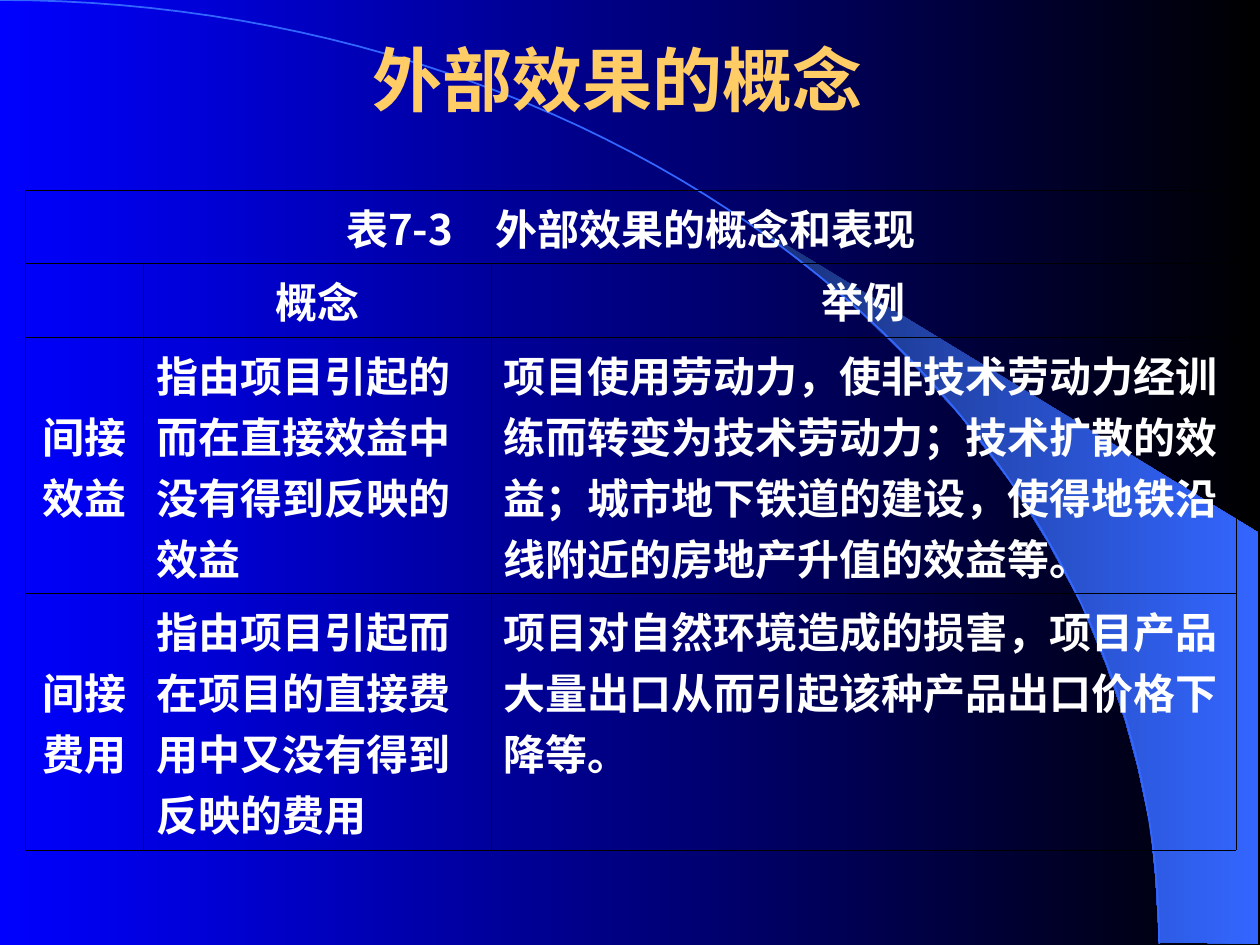
from math import cos, pi, sin

from lxml.etree import SubElement
from pptx import Presentation
from pptx.dml.color import RGBColor as RGB
from pptx.enum.text import MSO_ANCHOR as Anchor, PP_ALIGN as Align
from pptx.oxml.ns import qn
from pptx.util import Pt

PX = 9144  # 100 px to the inch
THEME = {
    "font": "Noto Sans CJK SC",
    "title_size": Pt(40),
    "table_size": Pt(24),
    "title": RGB.from_string("FFCC66"),
    "text": RGB.from_string("FFFFFF"),
    "border": "000000",
    "border_width": Pt(0.45),
    "accent": RGB.from_string("3366FF"),
    "accent_dark": RGB.from_string("182F76"),
    "back_left": RGB.from_string("0000FF"),
    "back_right": RGB.from_string("000000"),
}


def fill_left_to_right(fill, left_color, right_color):
    fill.gradient()
    fill.gradient_angle = 0
    for stop, color, position in zip(fill.gradient_stops, (left_color, right_color), (0, 1)):
        stop.color.rgb = color
        stop.position = position


def style_paragraph(paragraph, size, color, align):
    paragraph.alignment = align
    for run in paragraph.runs:
        run.font.size = size
        run.font.bold = True
        run.font.color.rgb = color
        run.font.name = THEME["font"]
        SubElement(run.font._element, qn("a:ea"), typeface=THEME["font"])


prs = Presentation()
prs.slide_width, prs.slide_height = 1000 * PX, 750 * PX
slide = prs.slides.add_slide(prs.slide_layouts[5])
shapes = slide.shapes
title = shapes.title
fill_left_to_right(slide.background.fill, THEME["back_left"], THEME["back_right"])

# Crescent and arc behind the text
crescent_points = [
    (920, 748), (999, 749), (999, 423), (589, 173), (624, 199), (653, 222),
    (685, 250), (716, 280), (762, 330), (803, 384), (832, 431), (858, 479),
    (878, 528), (893, 572), (903, 609), (913, 656), (917, 696),
]
crescent_builder = shapes.build_freeform(*crescent_points[0], scale=PX)
crescent_builder.add_line_segments(crescent_points[1:], close=True)
crescent = crescent_builder.convert_to_shape()
crescent.shadow.inherit = False
fill_left_to_right(crescent.fill, THEME["accent_dark"], THEME["accent"])
crescent.line.fill.background()

ARC_WIDTH, ARC_HEIGHT, ARC_STEPS = 920 * PX, 749 * PX, 60
angles = [pi / 2 * step / ARC_STEPS for step in range(1, ARC_STEPS + 1)]
arc_builder = shapes.build_freeform(0, 0, scale=1.0)
arc_builder.add_line_segments(
    [(ARC_WIDTH * sin(a), ARC_HEIGHT * (1 - cos(a))) for a in angles], close=False)
arc = arc_builder.convert_to_shape()
arc.shadow.inherit = False
arc.fill.background()
arc.line.color.rgb = THEME["accent"]
arc.line.width = Pt(1)

# Title, brought in front of the arc
shapes._spTree.append(title._element)
title.left, title.top, title.width, title.height = 0, 0, 980 * PX, 125 * PX
title.text_frame.text = "外部效果的概念"
title.text_frame.vertical_anchor = Anchor.MIDDLE
style_paragraph(title.text_frame.paragraphs[0], THEME["title_size"], THEME["title"], Align.CENTER)

# Table of external effects
rows = [
    ["表7-3　外部效果的概念和表现", "", ""],
    ["", "概念", "举例"],
    ["间接效益", "指由项目引起的而在直接效益中没有得到反映的效益",
     "项目使用劳动力，使非技术劳动力经训练而转变为技术劳动力；技术扩散的效益；"
     "城市地下铁道的建设，使得地铁沿线附近的房地产升值的效益等。"],
    ["间接费用", "指由项目引起而在项目的直接费用中又没有得到反映的费用",
     "项目对自然环境造成的损害，项目产品大量出口从而引起该种产品出口价格下降等。"],
]
column_widths = [94, 276, 591]
row_heights = [50, 50, 170, 170]
effects = shapes.add_table(
    len(rows), len(column_widths), 20 * PX, 151 * PX,
    sum(column_widths) * PX, sum(row_heights) * PX).table
effects.first_row = effects.horz_banding = False
for column, width in zip(effects.columns, column_widths):
    column.width = width * PX
for row, height in zip(effects.rows, row_heights):
    row.height = height * PX
effects.cell(0, 0).merge(effects.cell(0, 2))

for r, row_texts in enumerate(rows):
    for c, text in enumerate(row_texts):
        cell = effects.cell(r, c)
        is_heading = r < 2 or c == 0
        if text:
            cell.text_frame.text = text
        cell.vertical_anchor = Anchor.MIDDLE if r >= 2 and c == 0 else Anchor.TOP
        style_paragraph(cell.text_frame.paragraphs[0], THEME["table_size"], THEME["text"],
                        Align.CENTER if is_heading else Align.LEFT)
        cell_props = cell._tc.get_or_add_tcPr()
        for side in ("a:lnL", "a:lnR", "a:lnT", "a:lnB"):
            border = SubElement(cell_props, qn(side), w=str(THEME["border_width"]))
            border_fill = SubElement(border, qn("a:solidFill"))
            SubElement(border_fill, qn("a:srgbClr"), val=THEME["border"])
        cell.fill.background()

prs.save("out.pptx")
